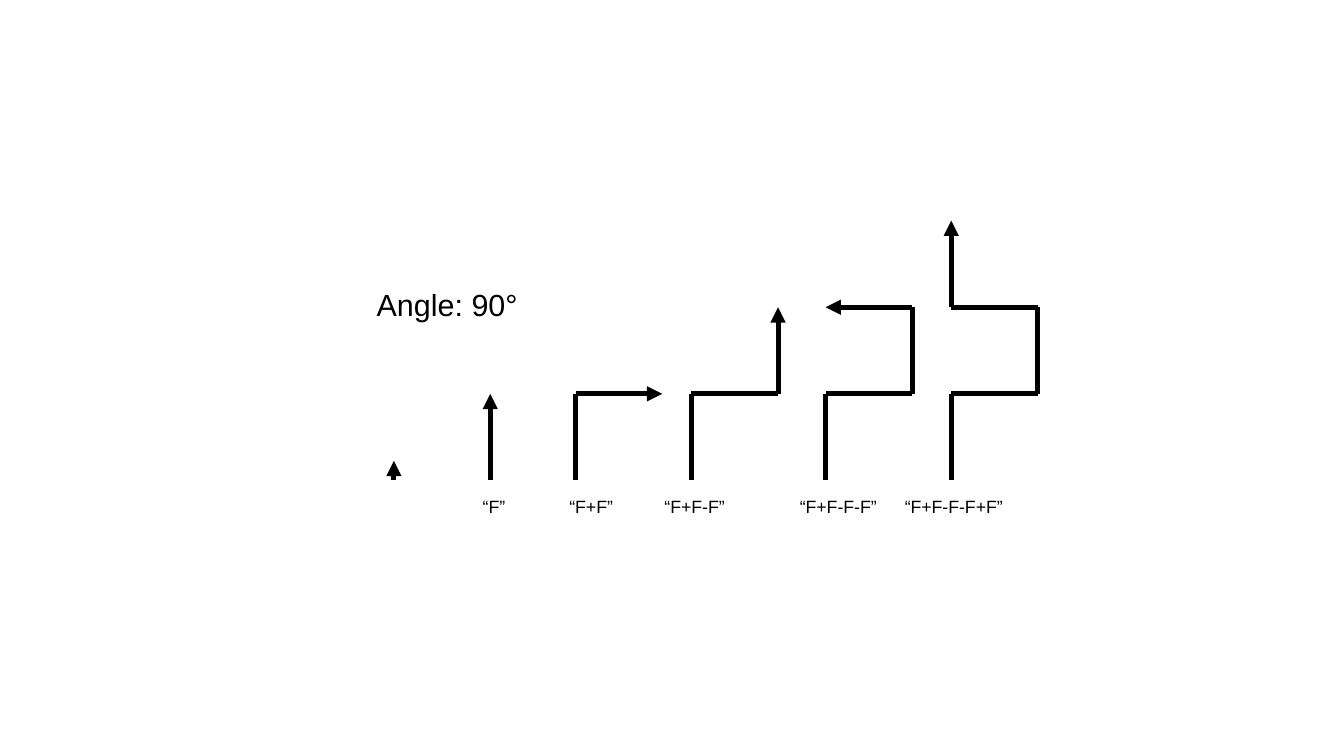
from dataclasses import dataclass

from lxml import etree
from pptx import Presentation
from pptx.dml.color import RGBColor
from pptx.enum.shapes import MSO_CONNECTOR
from pptx.enum.text import MSO_AUTO_SIZE, PP_ALIGN
from pptx.oxml.ns import qn
from pptx.util import Inches, Pt


@dataclass(frozen=True)
class Theme:
    ink: RGBColor = RGBColor(0x00, 0x00, 0x00)
    paper: RGBColor = RGBColor(0xFF, 0xFF, 0xFF)
    font: str = "Arial"
    heading_size: float = 18
    label_size: float = 10.5
    stroke: float = 3


THEME = Theme()
STEP = 0.71
BASELINE = 3.94
LABEL_DROP = 0.08

# commands, start of the path, label left, label width, label height
FIGURES = [
    ("F", 4.02, 3.86, 0.87, 0.26),
    ("F+F", 4.72, 4.57, 0.87, 0.26),
    ("F+F-F", 5.67, 5.35, 0.87, 0.26),
    ("F+F-F-F", 6.77, 6.46, 0.87, 0.26),
    ("F+F-F-F+F", 7.8, 7.32, 1.18, 0.42),
]


def add_text(slide, text, left, top, width, height, *, size, color=THEME.ink):
    box = slide.shapes.add_textbox(*map(Inches, (left, top, width, height)))
    frame = box.text_frame
    frame.word_wrap = True
    frame.auto_size = MSO_AUTO_SIZE.SHAPE_TO_FIT_TEXT
    paragraph = frame.paragraphs[0]
    paragraph.alignment = PP_ALIGN.LEFT
    run = paragraph.add_run()
    run.text = text
    run.font.name = THEME.font
    run.font.size = Pt(size)
    run.font.color.rgb = color


def add_segment(slide, start, end, arrow=False):
    segment = slide.shapes.add_connector(
        MSO_CONNECTOR.STRAIGHT, *map(Inches, (*start, *end)))
    segment.line.color.rgb = THEME.ink
    segment.line.width = Pt(THEME.stroke)
    if arrow:
        outline = segment.line._get_or_add_ln()
        etree.SubElement(outline, qn("a:tailEnd"), type="triangle")
    etree.SubElement(segment._element.spPr, qn("a:effectLst"))


def turtle_points(commands, x, y):
    """Corners of the walk: F steps ahead, + turns right and - turns left by 90°."""
    dx, dy = 0, -1
    points = [(x, y)]
    for command in commands:
        if command == "+":
            dx, dy = -dy, dx
        elif command == "-":
            dx, dy = dy, -dx
        else:
            x, y = x + dx * STEP, y + dy * STEP
            points.append((x, y))
    return points


def add_figure(slide, commands, start_x, baseline, label_left, label_width, label_height):
    points = turtle_points(commands, start_x, baseline)
    last = len(points) - 2
    for index, (start, end) in enumerate(zip(points, points[1:])):
        add_segment(slide, start, end, arrow=index == last)
    add_text(slide, f"“{commands}”", label_left, baseline + LABEL_DROP,
             label_width, label_height, size=THEME.label_size)


def add_turtle_slide(presentation):
    slide = presentation.slides.add_slide(presentation.slide_layouts[6])
    slide.background.fill.solid()
    slide.background.fill.fore_color.rgb = THEME.paper
    add_text(slide, "Angle: 90°", 2.99, 2.3, 1.42, 0.38, size=THEME.heading_size)
    add_segment(slide, (3.23, BASELINE), (3.23, 3.78), arrow=True)
    for commands, start_x, *label_box in FIGURES:
        add_figure(slide, commands, start_x, BASELINE, *label_box)


def main():
    presentation = Presentation()
    presentation.slide_width = Inches(11.02)
    presentation.slide_height = Inches(6.2)
    add_turtle_slide(presentation)
    presentation.save("out.pptx")


if __name__ == "__main__":
    main()
